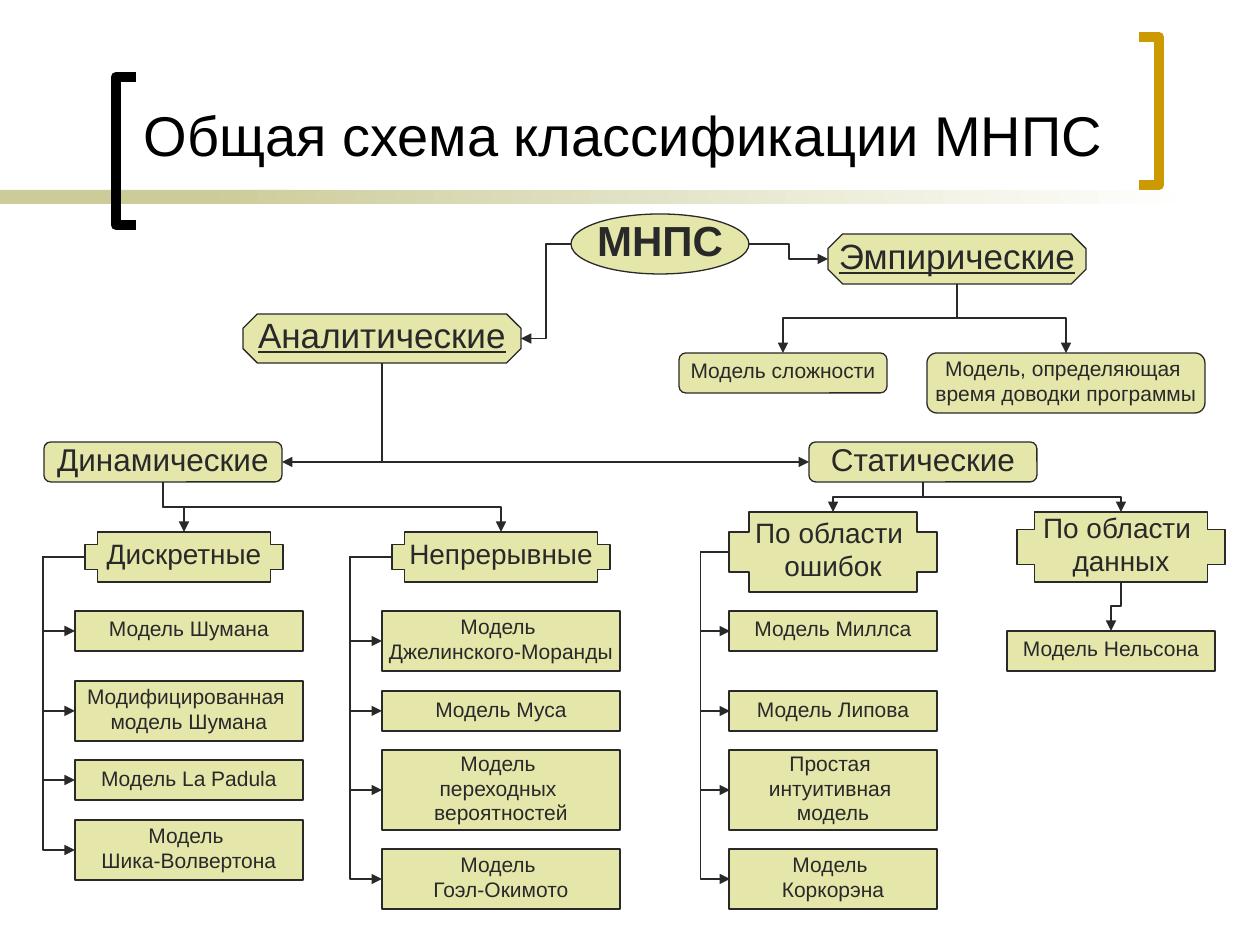
from pptx import Presentation
from pptx.dml.color import RGBColor
from pptx.enum.shapes import MSO_CONNECTOR, MSO_SHAPE
from pptx.enum.text import MSO_ANCHOR, PP_ALIGN
from pptx.oxml.ns import qn
from pptx.util import Pt
from lxml import etree

OVAL, RECT = MSO_SHAPE.OVAL, MSO_SHAPE.RECTANGLE
OCT, ROUND, CROSS = MSO_SHAPE.OCTAGON, MSO_SHAPE.ROUNDED_RECTANGLE, MSO_SHAPE.CROSS
ELBOW = MSO_CONNECTOR.ELBOW
MID, LOW, CENTER = MSO_ANCHOR.MIDDLE, MSO_ANCHOR.BOTTOM, PP_ALIGN.CENTER
PX = 914400 / 126

THEME = {
    "font": "Arial",
    "ink": RGBColor.from_string("292929"),
    "box": RGBColor.from_string("E5E6AA"),
    "bar": RGBColor.from_string("CCCC99"),
    "gold": RGBColor.from_string("CC9900"),
    "black": RGBColor.from_string("000000"),
    "white": RGBColor.from_string("FFFFFF"),
    "title": 32, "root": 24, "branch": 20, "group": 18, "kind": 16, "leaf": 12,
}

deck = Presentation()
deck.slide_width, deck.slide_height = round(1260 * PX), round(945 * PX)
slide = deck.slides.add_slide(deck.slide_layouts[6])
shapes = slide.shapes


def box(form, x, y, w, h, lines, role):
    shape = shapes.add_shape(form, *[round(v * PX) for v in (x, y, w, h)])
    shape.shadow.inherit = False
    shape.fill.solid()
    shape.fill.fore_color.rgb = THEME["box"]
    shape.line.color.rgb = THEME["ink"]
    shape.line.width = Pt(0.75)
    frame = shape.text_frame
    frame.word_wrap = False
    frame.vertical_anchor = MID
    size = THEME[role]
    for i, text in enumerate(lines):
        para = frame.add_paragraph() if i else frame.paragraphs[0]
        para.alignment = CENTER
        para.line_spacing = 0.8
        para.space_before = Pt(size * 0.2)
        run = para.add_run()
        run.text = text
        run.font.name = THEME["font"]
        run.font.size = Pt(size)
        run.font.color.rgb = THEME["ink"]
        run.font.bold = role == "root"
        run.font.underline = role == "branch"
    return {"top": (x + w / 2, y), "left": (x, y + h / 2),
            "low": (x + w / 2, y + h), "right": (x + w, y + h / 2)}


def link(start, end, bend=None, down=False):
    (x1, y1), (x2, y2) = start, end
    dx, dy = (x2 - x1) or 1, y2 - y1
    ends = [x1, y1, x1 + dx, y2]
    if down:
        cx, cy = x1 + dx / 2, y1 + dy / 2
        ends = [cx - dy / 2, cy + dx / 2, cx + dy / 2, cy - dx / 2]
    line = shapes.add_connector(ELBOW, *[round(v * PX) for v in ends])
    line.line.color.rgb = THEME["ink"]
    line.line.width = Pt(0.75)
    props = line.element.spPr
    if down:
        props.find(qn("a:xfrm")).set("rot", "5400000")
    geom = props.find(qn("a:prstGeom"))
    if bend is None:
        geom.set("prst", "bentConnector2")
    else:
        ratio = (bend - y1) / dy if down else (bend - x1) / dx
        guide = etree.SubElement(geom.find(qn("a:avLst")), qn("a:gd"))
        guide.set("name", "adj1")
        guide.set("fmla", f"val {round(ratio * 100000)}")
    etree.SubElement(props.find(qn("a:ln")), qn("a:tailEnd")).set("type", "triangle")
    etree.SubElement(props, qn("a:effectLst"))


for x, w in ((0, 294), (199, 998)):
    bar = shapes.add_shape(RECT, *[round(v * PX) for v in (x, 190, w, 14)])
    bar.shadow.inherit = False
    bar.line.fill.background()
    if x:
        bar.fill.gradient()
        bar.fill.gradient_angle = 0
        for stop, tone in zip(bar.fill.gradient_stops, ("bar", "white")):
            stop.color.rgb = THEME[tone]
    else:
        bar.fill.solid()
        bar.fill.fore_color.rgb = THEME["bar"]

for tip, back, top, tone in ((136, 116, 77, "black"), (1139, 1159, 37, "gold")):
    path = shapes.build_freeform(tip, top, scale=PX)
    path.add_line_segments([(back, top), (back, top + 148), (tip, top + 148)], close=False)
    mark = path.convert_to_shape()
    mark.shadow.inherit = False
    mark.fill.background()
    mark.line.color.rgb = THEME[tone]
    mark.line.width = Pt(6)

head = shapes.add_textbox(*[round(v * PX) for v in (130, 45, 987, 129)]).text_frame
head.word_wrap = True
head.margin_left = head.margin_right = 0
head.vertical_anchor = LOW
para = head.paragraphs[0]
para.alignment = CENTER
run = para.add_run()
run.text = "Общая схема классификации МНПС"
run.font.name = THEME["font"]
run.font.size = Pt(THEME["title"])
run.font.color.rgb = THEME["black"]

root = box(OVAL, 571, 214, 178, 60, ["МНПС"], "root")
exact = box(OCT, 243, 314, 278, 49, ["Аналитические"], "branch")
trial = box(OCT, 828, 234, 258, 50, ["Эмпирические"], "branch")
moving = box(ROUND, 44, 442, 238, 40, ["Динамические"], "group")
static = box(ROUND, 809, 442, 228, 40, ["Статические"], "group")
hard = box(ROUND, 679, 353, 208, 40, ["Модель сложности"], "leaf")
tuning = box(ROUND, 927, 353, 278, 60,
             ["Модель, определяющая ", "время доводки программы"], "leaf")
steps = box(CROSS, 85, 532, 198, 50, ["Дискретные"], "kind")
flow = box(CROSS, 392, 532, 218, 50, ["Непрерывные"], "kind")
faults = box(CROSS, 729, 512, 208, 80, ["По области ", "ошибок"], "kind")
data = box(CROSS, 1017, 512, 208, 70, ["По области ", "данных"], "kind")
nelson = box(RECT, 1007, 631, 208, 40, ["Модель Нельсона"], "leaf")

link(root["left"], exact["right"], 546)
link(root["right"], trial["left"], 789)
link(exact["low"], moving["right"], down=True)
link(exact["low"], static["left"], down=True)
for parent, child, bend in (
    (trial, hard, 318), (trial, tuning, 318),
    (moving, steps, 507), (moving, flow, 507),
    (static, faults, 497), (static, data, 497),
    (data, nelson, 606),
):
    link(parent["low"], child["top"], bend, down=True)

COLUMNS = (
    (steps, 75, 228, 43, (
        (611, 40, ["Модель Шумана"]),
        (681, 60, ["Модифицированная ", "модель Шумана"]),
        (760, 40, ["Модель La Padula"]),
        (820, 60, ["Модель ", "Шика-Волвертона"]))),
    (flow, 382, 238, 350, (
        (611, 60, ["Модель ", "Джелинского-Моранды"]),
        (691, 40, ["Модель Муса"]),
        (750, 80, ["Модель ", "переходных ", "вероятностей"]),
        (849, 60, ["Модель ", "Гоэл-Окимото"]))),
    (faults, 729, 208, 700, (
        (611, 40, ["Модель Миллса"]),
        (691, 40, ["Модель Липова"]),
        (750, 80, ["Простая ", "интуитивная ", "модель"]),
        (849, 60, ["Модель ", "Коркорэна"]))),
)
for parent, x, w, bend, leaves in COLUMNS:
    for y, h, lines in leaves:
        leaf = box(RECT, x, y, w, h, lines, "leaf")
        link(parent["left"], leaf["left"], bend)

deck.save("out.pptx")
